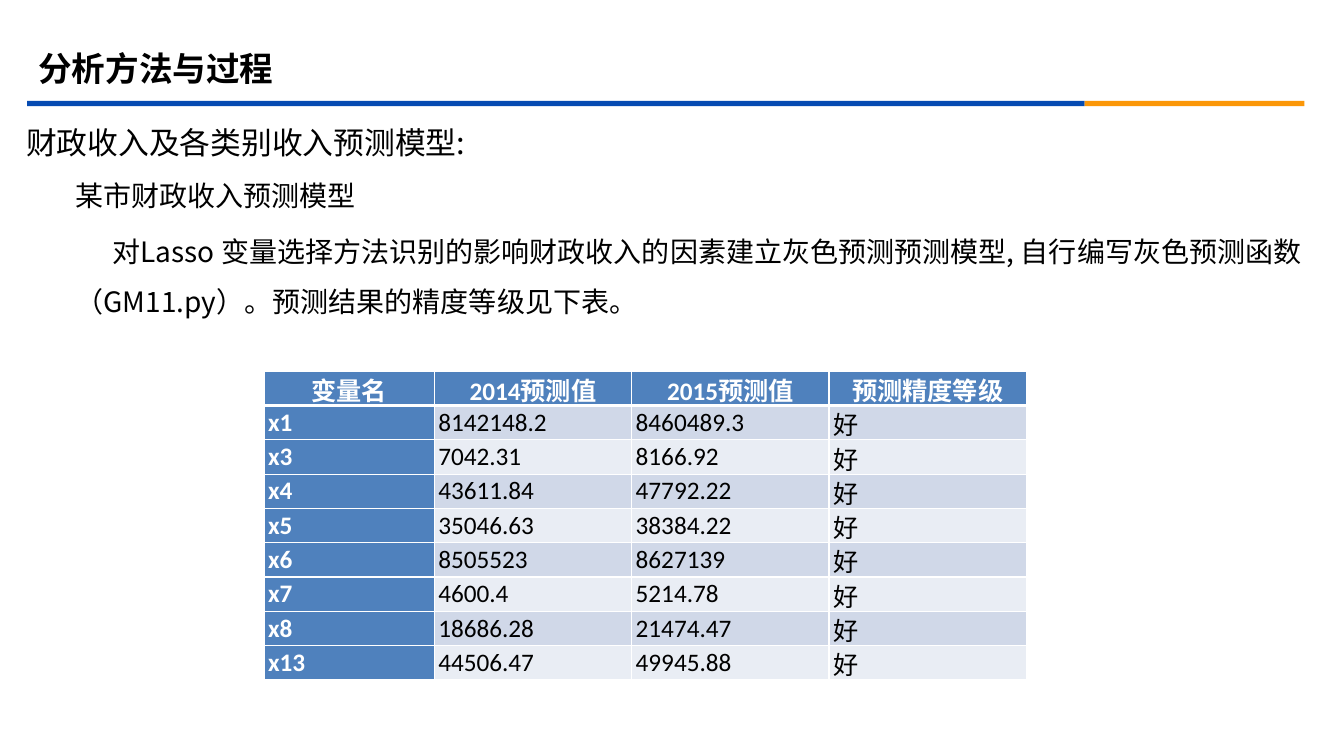
from dataclasses import dataclass

from lxml import etree
from pptx import Presentation, util as u
from pptx.dml.color import RGBColor
from pptx.enum import lang, shapes, text
from pptx.oxml import ns

COLOURS = {
    "black": "000000", "white": "FFFFFF", "blue": "064BB2", "orange": "FB9708",
    "header": "4F81BD", "odd": "D0D8E8", "even": "E9EDF4",
}
CJK = "Noto Sans CJK SC"


@dataclass
class Box:
    left: float
    top: float
    width: float
    height: float


@dataclass
class Bar:
    box: Box
    colour: str


@dataclass
class Line:
    words: str
    size: float
    margin: float = 0
    indent: float = 0


@dataclass
class Block:
    slot: int
    box: Box
    lines: list[Line]


BARS = [
    Bar(Box(19.44, 72, 755.28, 3.8), "blue"),
    Bar(Box(774.72, 72, 156.96, 3.8), "orange"),
]
TITLE_BOX = Box(20.16, 28.08, 864, 41.76)
BLOCKS = [
    Block(1, Box(18.72, 74.88, 884.88, 39.6),
          [Line("财政收入及各类别收入预测模型:", 22, 36, -36)]),
    Block(2, Box(54, 115.2, 884.88, 113.76), [
        Line("某市财政收入预测模型", 20),
        Line("对Lasso 变量选择方法识别的影响财政收入的因素建立灰色预测预测模型, "
             "自行编写灰色预测函数（GM11.py）。预测结果的精度等级见下表。", 20, 0, 26.5),
    ]),
]
TABLE_BOX = Box(188.64, 265.2, 544.6, 220.5)
COLUMN_WIDTHS = [121.6, 141, 141, 141]
ROWS = [
    ("变量名", "2014预测值", "2015预测值", "预测精度等级"),
    ("x1", "8142148.2", "8460489.3", "好"),
    ("x3", "7042.31", "8166.92", "好"),
    ("x4", "43611.84", "47792.22", "好"),
    ("x5", "35046.63", "38384.22", "好"),
    ("x6", "8505523", "8627139", "好"),
    ("x7", "4600.4", "5214.78", "好"),
    ("x8", "18686.28", "21474.47", "好"),
    ("x13", "44506.47", "49945.88", "好"),
]


def colour(name: str) -> RGBColor:
    return RGBColor.from_string(COLOURS[name])


def points(box: Box) -> list[u.Pt]:
    return [u.Pt(value) for value in (box.left, box.top, box.width, box.height)]


def place(shape, box: Box) -> None:
    shape.left, shape.top, shape.width, shape.height = points(box)


def add_span(para, words: str, size: float, font: str, ink: str, bold: bool = False) -> None:
    span = para.add_run()
    span.text = words
    span.font.size = u.Pt(size)
    span.font.name = font
    span.font.bold = bold
    span.font.color.rgb = colour(ink)
    span.font.language_id = lang.MSO_LANGUAGE_ID.SIMPLIFIED_CHINESE


def clear_bullet(para, margin: float, indent: float) -> None:
    props = para._p.get_or_add_pPr()
    props.set("marL", str(u.Pt(margin)))
    props.set("indent", str(u.Pt(indent)))
    etree.SubElement(props, ns.qn("a:buNone"))


def add_bar(page, bar: Bar) -> None:
    shape = page.shapes.add_shape(shapes.MSO_SHAPE.RECTANGLE, *points(bar.box))
    shape.shadow.inherit = False
    shape.fill.solid()
    shape.fill.fore_color.rgb = colour(bar.colour)
    shape.line.fill.background()


def fill_title(page, words: str) -> None:
    title = page.shapes.title
    place(title, TITLE_BOX)
    frame = title.text_frame
    frame.auto_size = text.MSO_AUTO_SIZE.NONE
    frame.vertical_anchor = text.MSO_ANCHOR.MIDDLE
    para = frame.paragraphs[0]
    para.alignment = text.PP_ALIGN.LEFT
    add_span(para, words, 24, "Arial", "black", True)


def fill_block(page, block: Block) -> None:
    body = page.placeholders[block.slot]
    place(body, block.box)
    frame = body.text_frame
    frame.word_wrap = True
    frame.auto_size = text.MSO_AUTO_SIZE.SHAPE_TO_FIT_TEXT
    frame.margin_left = frame.margin_right = frame.margin_top = frame.margin_bottom = u.Pt(0)
    for number, line in enumerate(block.lines):
        para = frame.add_paragraph() if number else frame.paragraphs[0]
        para.line_spacing = 1.5
        clear_bullet(para, line.margin, line.indent)
        add_span(para, line.words, line.size, CJK, "black")


def set_borders(cell, bottom: float) -> None:
    props = cell._tc.get_or_add_tcPr()
    widths = {"lnL": 1, "lnR": 1, "lnT": 1, "lnB": bottom}
    for position, (side, width) in enumerate(widths.items()):
        edge = etree.Element(ns.qn(f"a:{side}"), w=str(u.Pt(width)))
        paint = etree.SubElement(edge, ns.qn("a:solidFill"))
        etree.SubElement(paint, ns.qn("a:srgbClr"), val=COLOURS["white"])
        props.insert(position, edge)


def fill_cell(cell, words: str, row: int, column: int) -> None:
    heading = row == 0 or column == 0
    cell.fill.solid()
    cell.fill.fore_color.rgb = colour("header" if heading else "odd" if row % 2 else "even")
    cell.vertical_anchor = text.MSO_ANCHOR.MIDDLE
    cell.margin_left = cell.margin_right = u.Pt(2.9)
    cell.margin_top = cell.margin_bottom = u.Pt(0)
    para = cell.text_frame.paragraphs[0]
    para.alignment = text.PP_ALIGN.JUSTIFY if row else text.PP_ALIGN.CENTER
    add_span(para, words, 18, "Calibri", "white" if heading else "black", heading)
    set_borders(cell, 1 if row else 3)


def add_forecast_table(page) -> None:
    frame = page.shapes.add_table(len(ROWS), len(COLUMN_WIDTHS), *points(TABLE_BOX))
    table = frame.table
    for column, width in zip(table.columns, COLUMN_WIDTHS):
        column.width = u.Pt(width)
    for row, values in enumerate(ROWS):
        table.rows[row].height = u.Pt(TABLE_BOX.height / len(ROWS))
        for column, words in enumerate(values):
            fill_cell(table.cell(row, column), words, row, column)


def main() -> None:
    deck = Presentation()
    deck.slide_width, deck.slide_height = u.Pt(960), u.Pt(540)
    page = deck.slides.add_slide(deck.slide_layouts.get_by_name("Two Content"))

    # Rule under the title
    for bar in BARS:
        add_bar(page, bar)

    # Title and explanation
    fill_title(page, "分析方法与过程")
    for block in BLOCKS:
        fill_block(page, block)

    # Forecast results
    add_forecast_table(page)
    deck.save("out.pptx")


if __name__ == "__main__":
    main()
